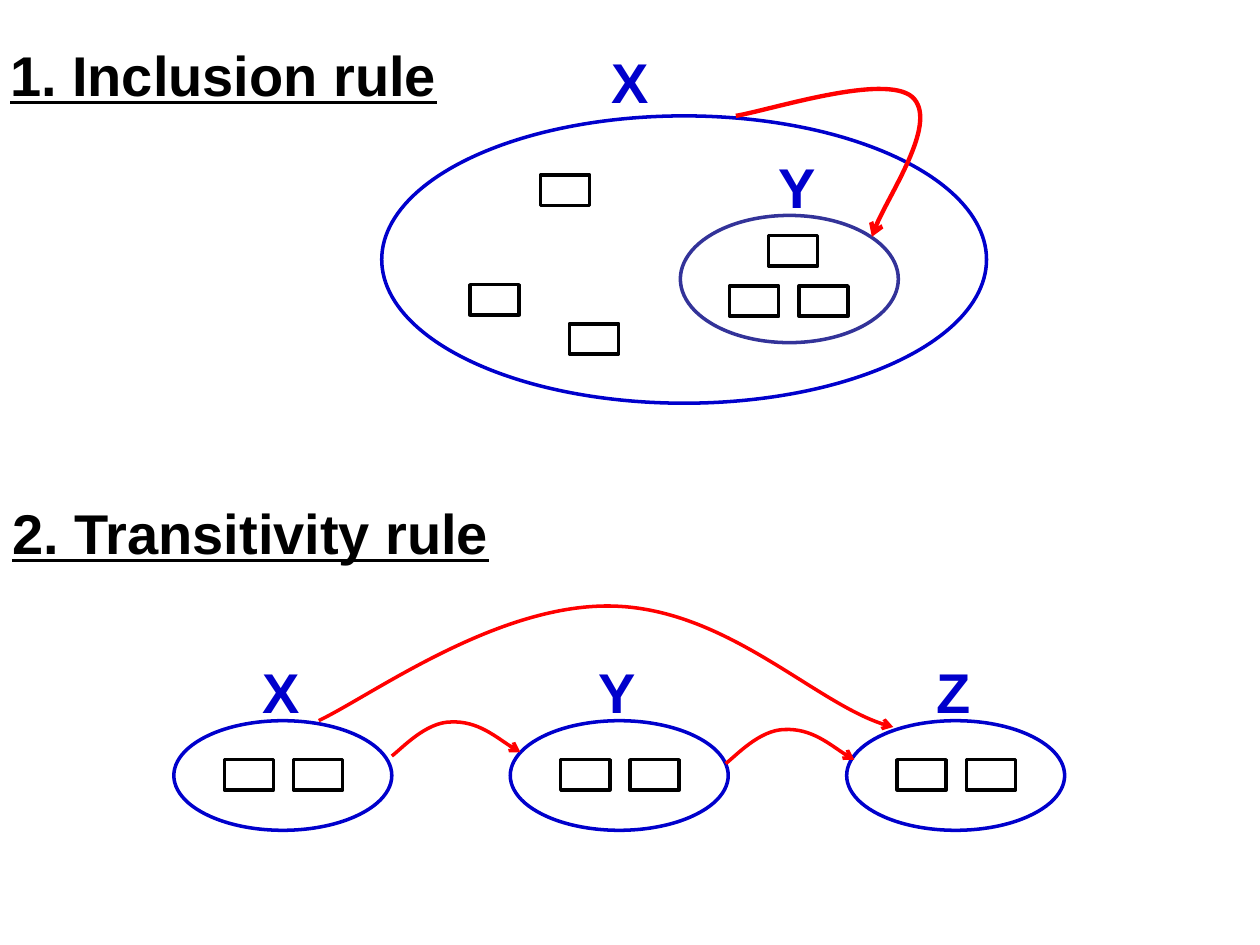
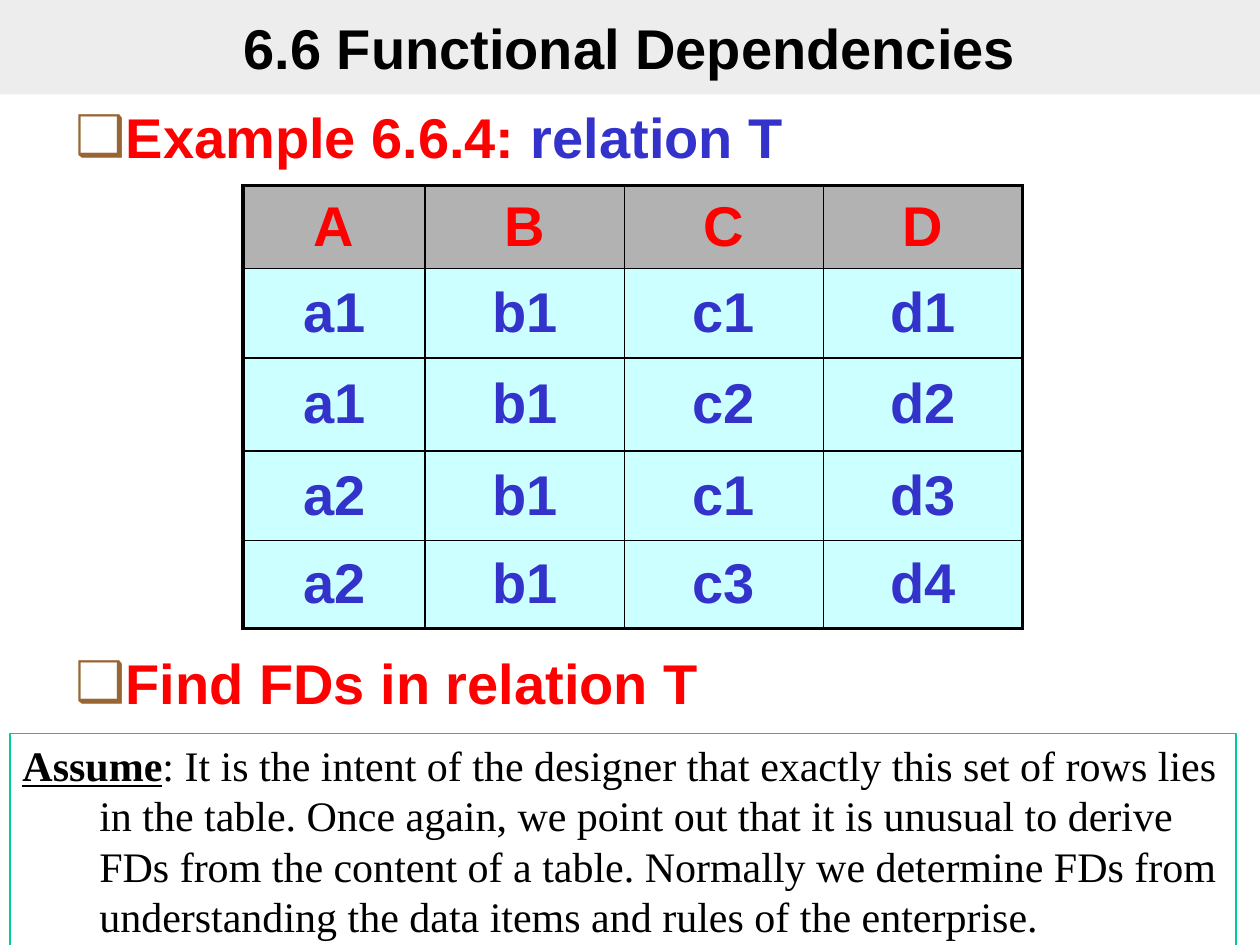
from dataclasses import dataclass
from pptx import Presentation
from pptx.dml.color import RGBColor
from pptx.enum.shapes import MSO_SHAPE as Preset
from pptx.enum.text import MSO_ANCHOR as Anchor, MSO_AUTO_SIZE as Fit, PP_ALIGN as Align
from pptx.oxml import parse_xml
from pptx.oxml.ns import nsdecls, qn
from pptx.oxml.xmlchemy import OxmlElement as element
from pptx.util import Inches, Pt


@dataclass(frozen=True)
class Theme:
    ink: str = "000000"
    paper: str = "FFFFFF"
    set_blue: str = "0000CC"
    subset_blue: str = "333399"
    value_blue: str = "3333CC"
    red: str = "FF0000"
    band: str = "DDDDDD"
    bullet: str = "996633"
    header_fill: str = "B2B2B2"
    cell_fill: str = "CCFFFF"
    note_line: str = "00CC99"
    sans: str = "Arial"
    serif: str = "Times New Roman"
    large: int = 32
    note: int = 24
    outline: float = 2
    thick: float = 2.25
    thin: float = 1


class Deck:
    COLUMNS, ROWS = 100, 75
    TITLE_AND_BODY, TITLE_ONLY = 1, 5

    def __init__(self, theme):
        self.theme = theme
        self.prs = Presentation()
        self.prs.slide_width, self.prs.slide_height = Inches(10), Inches(7.5)
        self.slide = None

    def new_slide(self, layout):
        self.slide = self.prs.slides.add_slide(self.prs.slide_layouts[layout])

    def x(self, columns):
        return round(self.prs.slide_width * columns / self.COLUMNS)

    def y(self, rows):
        return round(self.prs.slide_height * rows / self.ROWS)

    def area(self, left, top, width, height):
        return self.x(left), self.y(top), self.x(width), self.y(height)

    def place(self, shape, area):
        shape.left, shape.top, shape.width, shape.height = self.area(*area)

    def run(self, paragraph, text, color, size=None, font=None, bold=True, underline=False):
        run = paragraph.add_run()
        run.text = text
        run.font.name = font or self.theme.sans
        run.font.size = Pt(size or self.theme.large)
        run.font.bold, run.font.underline = bold, underline
        run.font.color.rgb = RGBColor.from_string(color)

    def frame(self, shape, anchor=Anchor.TOP, align=Align.LEFT):
        frame = shape.text_frame
        frame.word_wrap, frame.auto_size = True, Fit.NONE
        frame.vertical_anchor = anchor
        frame.paragraphs[0].alignment = align
        return frame

    def style(self, shape, line, width, fill=None):
        shape.shadow.inherit = False
        if fill:
            shape.fill.solid()
            shape.fill.fore_color.rgb = RGBColor.from_string(fill)
        else:
            shape.fill.background()
        shape.line.color.rgb = RGBColor.from_string(line)
        shape.line.width = Pt(width)

    def outline(self, preset, area, line):
        shape = self.slide.shapes.add_shape(preset, *self.area(*area))
        self.style(shape, line, self.theme.outline)

    def text_box(self, area):
        return self.slide.shapes.add_textbox(*self.area(*area))

    def row_mark(self, left, top):
        self.outline(Preset.RECTANGLE, (left, top, 3.9, 2.4), self.theme.ink)

    def set_label(self, text, area):
        frame = self.frame(self.text_box(area), Anchor.MIDDLE, Align.CENTER)
        self.run(frame.paragraphs[0], text, self.theme.set_blue)

    def heading(self, shape, text):
        frame = self.frame(shape)
        self.run(frame.paragraphs[0], text, self.theme.ink, underline=True)

    def title_heading(self, text, area):
        self.place(self.slide.shapes.title, area)
        self.heading(self.slide.shapes.title, text)

    def title_band(self, text):
        band = self.slide.shapes.title
        self.place(band, (0, 0, self.COLUMNS, 7.5))
        band.fill.solid()
        band.fill.fore_color.rgb = RGBColor.from_string(self.theme.band)
        alpha = element("a:alpha")
        alpha.set("val", "50000")
        band.element.spPr.find(".//" + qn("a:srgbClr")).append(alpha)
        frame = self.frame(band, Anchor.MIDDLE, Align.CENTER)
        self.run(frame.paragraphs[0], text, self.theme.ink)

    def bullets(self, items, area, gap):
        body = self.slide.placeholders[1]
        self.place(body, area)
        frame = self.frame(body)
        for index, runs in enumerate(items):
            paragraph = frame.add_paragraph() if index else frame.paragraphs[0]
            props = paragraph._p.get_or_add_pPr()
            indent = Inches(0.38)
            props.set("marL", str(indent))
            props.set("indent", str(-indent))
            props.append(parse_xml(
                f'<a:buClr {nsdecls("a")}><a:srgbClr val="{self.theme.bullet}"/></a:buClr>'))
            props.append(parse_xml(f'<a:buChar {nsdecls("a")} char="❑"/>'))
            paragraph.space_before = Pt(gap if index else 0)
            for text, color in runs:
                self.run(paragraph, text, color)

    def arrow_curve(self, points, width=None):
        start, *rest = [(self.x(x), self.y(y)) for x, y in points]
        builder = self.slide.shapes.build_freeform(*start)
        builder.add_line_segments(rest, close=False)
        curve = builder.convert_to_shape()
        self.style(curve, self.theme.red, width or self.theme.outline)
        outline = curve.element.spPr.find(".//" + qn("a:path"))
        segments = outline.findall(qn("a:lnTo"))
        for first in range(0, len(segments), 3):
            bezier = element("a:cubicBezTo")
            for segment in segments[first:first + 3]:
                bezier.append(segment[0])
                outline.remove(segment)
            outline.append(bezier)
        tail = element("a:tailEnd")
        tail.set("type", "arrow")
        curve.line._get_or_add_ln().append(tail)

    def border(self, cell, side, width):
        cell._tc.get_or_add_tcPr().append(parse_xml(
            f'<a:ln{side} {nsdecls("a")} w="{Pt(width)}"><a:solidFill>'
            f'<a:srgbClr val="{self.theme.ink}"/></a:solidFill></a:ln{side}>'))

    def relation(self, rows, area, widths, heights):
        table = self.slide.shapes.add_table(
            len(heights), len(widths), *self.area(*area)).table
        table.first_row = table.horz_banding = False
        for column, width in zip(table.columns, widths):
            column.width = self.x(width)
        for row, height in zip(table.rows, heights):
            row.height = self.y(height)
        last_row, last_column = len(heights) - 1, len(widths) - 1
        for r, values in enumerate(rows):
            fill = self.theme.cell_fill if r else self.theme.header_fill
            color = self.theme.value_blue if r else self.theme.red
            for c, value in enumerate(values):
                cell = table.cell(r, c)
                edges = {"L": c == 0, "R": c == last_column, "T": r == 0, "B": r == last_row}
                for side, outer in edges.items():
                    self.border(cell, side, self.theme.thick if outer else self.theme.thin)
                cell.fill.solid()
                cell.fill.fore_color.rgb = RGBColor.from_string(fill)
                cell.vertical_anchor = Anchor.MIDDLE
                cell.margin_top = cell.margin_bottom = 0
                paragraph = cell.text_frame.paragraphs[0]
                paragraph.alignment = Align.CENTER
                self.run(paragraph, value, color)

    def note(self, lead, text, area):
        box = self.slide.shapes.add_shape(Preset.RECTANGLE, *self.area(*area))
        self.style(box, self.theme.note_line, 0.75, self.theme.paper)
        paragraph = self.frame(box).paragraphs[0]
        props = paragraph._p.get_or_add_pPr()
        hang = Inches(0.61)
        props.set("marL", str(hang))
        props.set("indent", str(-hang))
        look = dict(color=self.theme.ink, size=self.theme.note, font=self.theme.serif)
        self.run(paragraph, lead, underline=True, **look)
        self.run(paragraph, text, bold=False, **look)


def inclusion_rule(deck):
    deck.title_heading("1. Inclusion rule", (-0.2, 2.7, 37.6, 6.3))
    deck.outline(Preset.OVAL, (30.3, 9.2, 48, 22.8), deck.theme.set_blue)
    deck.outline(Preset.OVAL, (54, 17.1, 17.3, 10.1), deck.theme.subset_blue)
    outside_y = [(42.9, 13.9), (37.3, 22.6), (45.2, 25.7)]
    inside_y = [(61, 18.7), (57.9, 22.7), (63.4, 22.7)]
    for left, top in outside_y + inside_y:
        deck.row_mark(left, top)
    deck.set_label("X", (47, 3.3, 6, 6.3))
    deck.set_label("Y", (60.3, 11.6, 6, 6.3))
    deck.arrow_curve([(58.4, 9.2), (61.3, 8.7), (70.2, 5.8), (72.4, 7.7),
                      (74.5, 9.6), (69.8, 16.6), (69.2, 18.8)], width=2.5)


def transitivity_rule(deck):
    deck.heading(deck.text_box((0, 39.1, 43.7, 6.3)), "2. Transitivity rule")
    first_set, step = 13.8, 26.7
    for index, name in enumerate("XYZ"):
        left = first_set + index * step
        deck.outline(Preset.OVAL, (left, 57.2, 17.3, 8.7), deck.theme.set_blue)
        for offset in (4, 9.5):
            deck.row_mark(left + offset, 60.3)
        deck.set_label(name, (left + 4.7, 51.7, 7.6, 6.3))
    hop = [(0, 2.8), (0.8, 2.2), (2.7, 0.1), (4.7, 0.1), (6.8, 0), (9.2, 2), (10.2, 2.5)]
    for left, top in [(31.1, 57.2), (57.6, 57.8)]:
        deck.arrow_curve([(left + x, top + y) for x, y in hop])
    deck.arrow_curve([(25.3, 57.2), (29.5, 55.2), (39.3, 48), (48.4, 48.1),
                      (57.5, 48.2), (65.2, 56.4), (70.9, 57.7)])


def functional_dependencies(deck):
    theme = deck.theme
    deck.title_band("6.6 Functional Dependencies")
    deck.bullets([[("Example 6.6.4: ", theme.red), ("relation T", theme.value_blue)],
                  [("Find FDs in relation T", theme.red)]],
                 (5, 7.6, 90, 51.1), gap=274)
    deck.relation([("A", "B", "C", "D"),
                   ("a1", "b1", "c1", "d1"),
                   ("a1", "b1", "c2", "d2"),
                   ("a2", "b1", "c1", "d3"),
                   ("a2", "b1", "c3", "d4")],
                  (19.3, 14.7, 61.8, 35.2),
                  widths=(14.45, 15.8, 15.8, 15.8), heights=(6.6, 7.1, 7.4, 7.1, 7))
    deck.note("Assume",
              ": It is the intent of the designer that exactly this set of rows lies "
              "in the table. Once again, we point out that it is unusual to derive FDs "
              "from the content of a table. Normally we determine FDs from understanding "
              "the data items and rules of the enterprise.",
              (0.8, 58.2, 97.3, 17))


def main():
    deck = Deck(Theme())
    deck.new_slide(Deck.TITLE_ONLY)
    inclusion_rule(deck)
    transitivity_rule(deck)
    deck.new_slide(Deck.TITLE_AND_BODY)
    functional_dependencies(deck)
    deck.prs.save("out.pptx")


if __name__ == "__main__":
    main()
